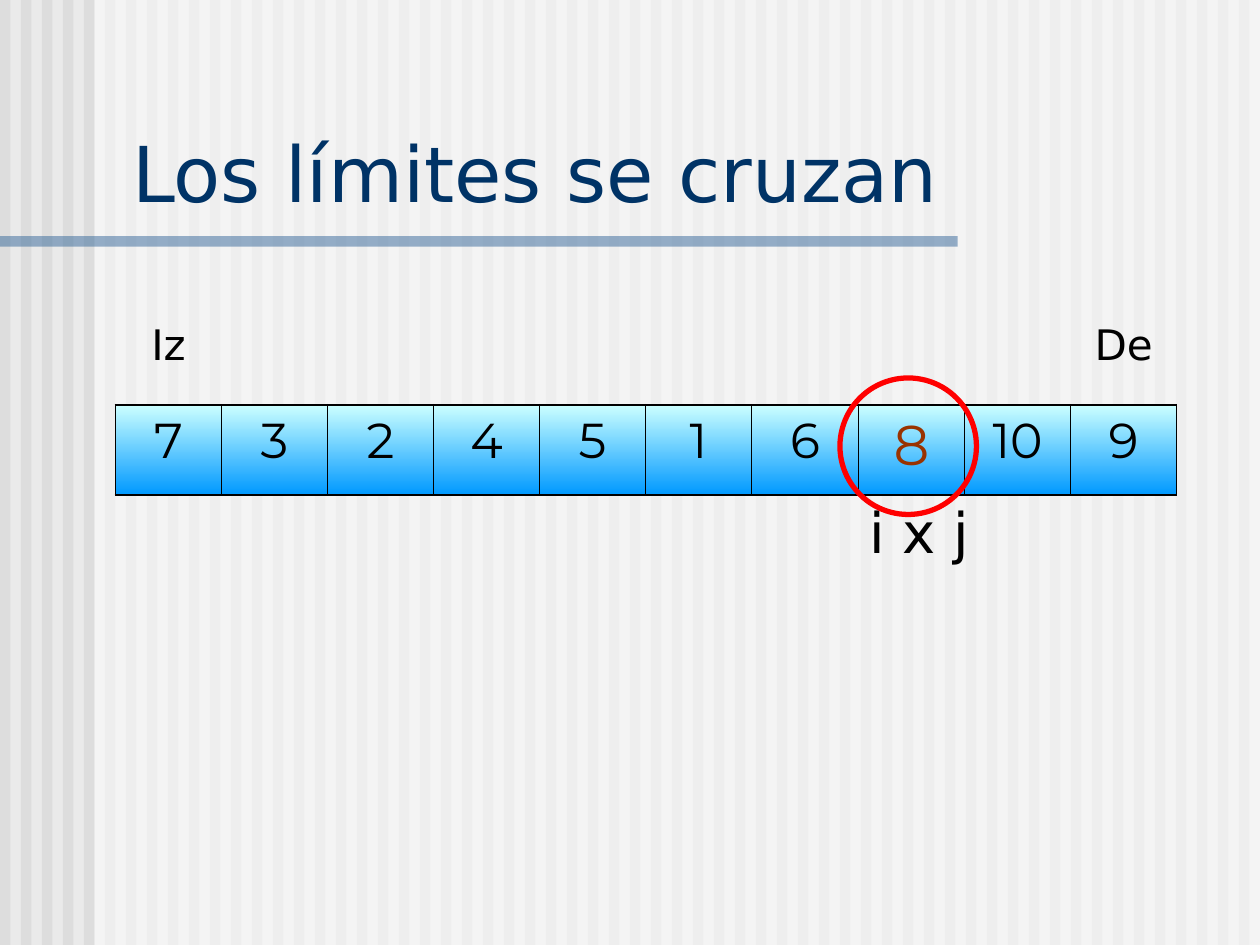
"""Build the slide on which the two partition limits of a quicksort cross."""
import pptx
import pptx.dml.color
import pptx.enum.shapes
import pptx.enum.text
import pptx.oxml
import pptx.oxml.ns
import pptx.util

COLORS = {
    "ground": "EAEAEA", "stripe": "DDDDDD", "veil": "FFFFFF", "rule": "336699",
    "title": "003366", "text": "000000", "pivot": "993300", "ring": "FF0000",
    "cell_top": "CCFFFF", "cell_bottom": "0099FF",
}
LATIN, DIGITS = "DejaVu Sans", "Montserrat"
GRID_COLUMNS, GRID_ROWS = 60, 45
THICK, THIN = 1.08, 0.45
NO_STYLE = "{2D5ABB26-0587-4C30-8999-92F81FD0307C}"


class Board:
    """Slide with a grid of 60 columns and 45 rows and one shared style."""

    def __init__(self, deck):
        self.column = deck.slide_width / GRID_COLUMNS
        self.row = deck.slide_height / GRID_ROWS
        self.slide = deck.slides.add_slide(deck.slide_layouts[5])
        self.paint(self.slide.background.fill, "ground")

    def color(self, name):
        return pptx.dml.color.RGBColor.from_string(COLORS[name])

    def paint(self, fill, name):
        fill.solid()
        fill.fore_color.rgb = self.color(name)

    def place(self, left, top, width, height):
        return (round(left * self.column), round(top * self.row),
                round(width * self.column), round(height * self.row))

    def add_words(self, frame, text, size, font, color, align):
        paragraph = frame.paragraphs[0]
        paragraph.alignment = align
        run = paragraph.add_run()
        run.text = text
        run.font.size = pptx.util.Pt(size)
        run.font.name = font
        run.font.color.rgb = self.color(color)

    def band(self, area, color, opacity=100):
        band = self.slide.shapes.add_shape(
            pptx.enum.shapes.MSO_SHAPE.RECTANGLE, *self.place(*area))
        band.shadow.inherit = False
        band.line.fill.background()
        self.paint(band.fill, color)
        if opacity < 100:
            tone = band._element.spPr.xpath("./a:solidFill/a:srgbClr")[0]
            alpha = pptx.oxml.parse_xml(
                f'<a:alpha {pptx.oxml.ns.nsdecls("a")} val="{opacity * 1000}"/>')
            tone.append(alpha)

    def ring(self, area, color, weight):
        ring = self.slide.shapes.add_shape(
            pptx.enum.shapes.MSO_SHAPE.OVAL, *self.place(*area))
        ring.shadow.inherit = False
        ring.fill.background()
        ring.line.color.rgb = self.color(color)
        ring.line.width = pptx.util.Pt(weight)

    def title(self, area, text):
        title = self.slide.shapes.title
        title.left, title.top, title.width, title.height = self.place(*area)
        self.slide.shapes._spTree.append(title._element)
        frame = title.text_frame
        frame.word_wrap = True
        frame.auto_size = pptx.enum.text.MSO_AUTO_SIZE.SHAPE_TO_FIT_TEXT
        frame.vertical_anchor = pptx.enum.text.MSO_ANCHOR.BOTTOM
        self.add_words(frame, text, 44, LATIN, "title",
                       pptx.enum.text.PP_ALIGN.LEFT)

    def table(self, left, top, widths, heights):
        area = self.place(left, top, sum(widths), sum(heights))
        table = self.slide.shapes.add_table(len(heights), len(widths), *area).table
        table.first_row = table.horz_banding = False
        table._tbl.tblPr.xpath("./a:tableStyleId")[0].text = NO_STYLE
        for column, width in zip(table.columns, widths):
            column.width = round(width * self.column)
        for row, height in zip(table.rows, heights):
            row.height = round(height * self.row)
        for cell in table.iter_cells():
            cell.fill.background()
        return table

    def entry(self, cell, text, size, font, color="text"):
        self.add_words(cell.text_frame, text, size, font, color,
                       pptx.enum.text.PP_ALIGN.CENTER)

    def gradient(self, cell):
        cell.fill.gradient()
        cell.fill.gradient_angle = 270
        for stop, name in zip(cell.fill.gradient_stops, ("cell_top", "cell_bottom")):
            stop.color.rgb = self.color(name)

    def borders(self, cell, **weights):
        properties = cell._tc.get_or_add_tcPr()
        for position, side in enumerate("LRTB"):
            weight = weights.get(side, 0)
            ink = (f'<a:solidFill><a:srgbClr val="{COLORS["text"]}"/></a:solidFill>'
                   if weight else "<a:noFill/>")
            properties.insert(position, pptx.oxml.parse_xml(
                f'<a:ln{side} {pptx.oxml.ns.nsdecls("a")} '
                f'w="{int(pptx.util.Pt(weight))}">{ink}</a:ln{side}>'))


def draw_array(board):
    """Draw the array with its limits above and its indices below."""
    widths = [5.05] * 6 + [3.72, 1.38, 5.05, 2.1, 2.95, 5.05]
    array = board.table(5.5, 15, widths, [4.28] * 3)
    for row, first, last in ((0, 6, 7), (0, 9, 10), (1, 6, 7), (1, 9, 10), (2, 7, 9)):
        array.cell(row, first).merge(array.cell(row, last))

    for column in range(len(widths)):
        board.borders(array.cell(0, column), B=THICK)
        board.borders(array.cell(2, column), T=THICK)

    values = {0: "7", 1: "3", 2: "2", 3: "4", 4: "5", 5: "1",
              6: "6", 8: "8", 9: "10", 11: "9"}
    for column, value in values.items():
        cell = array.cell(1, column)
        size, color = (32, "pivot") if value == "8" else (28, "text")
        board.entry(cell, value, size, DIGITS, color)
        board.gradient(cell)
        board.borders(cell, L=THICK if column == 0 else THIN,
                      R=THICK if column == 11 else THIN, T=THICK, B=THICK)

    board.entry(array.cell(0, 0), "Iz", 24, LATIN)
    board.entry(array.cell(0, 11), "De", 24, LATIN)
    board.entry(array.cell(2, 7), "i x j", 32, LATIN)


def main():
    """Build and save the deck."""
    deck = pptx.Presentation()
    deck.slide_width = pptx.util.Inches(10)
    deck.slide_height = pptx.util.Inches(7.5)
    board = Board(deck)
    for column in range(GRID_COLUMNS):
        board.band((column, 0, 0.5, GRID_ROWS), "stripe")
    board.band((4.5, 0, 55.5, GRID_ROWS), "veil", 50)
    board.band((0, 11.25, 45.6, 0.5), "rule", 50)
    draw_array(board)
    board.title((5.7, 5.64, 53.6, 5.04), "Los límites se cruzan")
    board.ring((40, 18, 6.5, 6.5), "ring", 3)
    deck.save("out.pptx")


if __name__ == "__main__":
    main()
